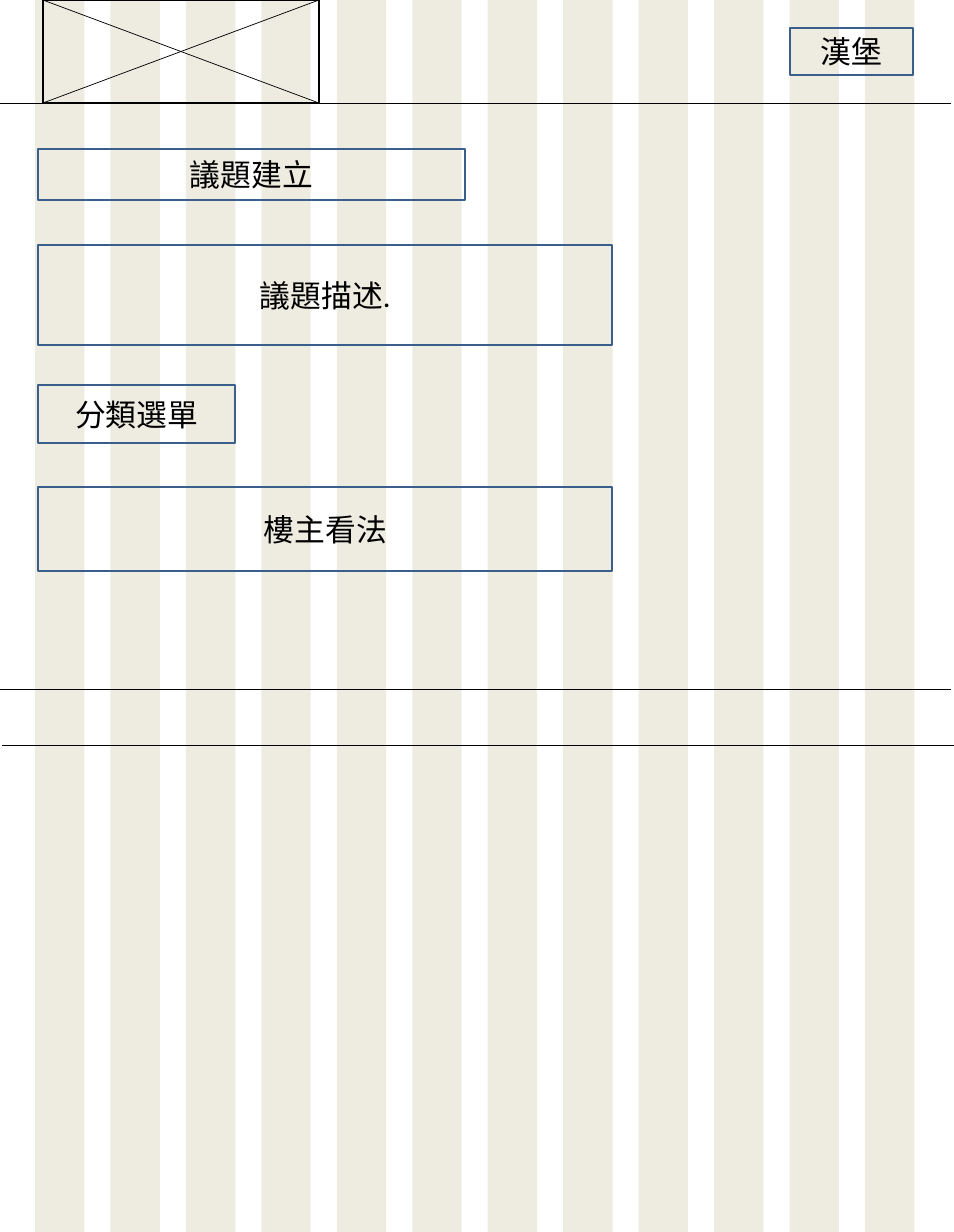
from lxml import etree
from pptx import Presentation
from pptx.dml.color import RGBColor
from pptx.enum.shapes import MSO_CONNECTOR, MSO_SHAPE
from pptx.enum.text import MSO_ANCHOR, PP_ALIGN
from pptx.oxml.ns import qn
from pptx.util import Inches, Pt

RECTANGLE = MSO_SHAPE.RECTANGLE
STRAIGHT = MSO_CONNECTOR.STRAIGHT
MIDDLE = MSO_ANCHOR.MIDDLE
CENTER = PP_ALIGN.CENTER

COLORS = {"column": "EEECE1", "ink": "000000", "field": "3A5F8C"}
FONT = "Calibri"
WIDTH, HEIGHT = 13.34, 17.22
COLUMNS = 12
MARGIN, PITCH, COLUMN_WIDTH = 0.49, 1.055, 0.69
GUTTER = PITCH - COLUMN_WIDTH
INSET = 0.04
HEADER_HEIGHT = 1.45


def color(name):
    return RGBColor.from_string(COLORS[name])


def column_left(index):
    return MARGIN + index * PITCH


def span(count):
    return count * PITCH - GUTTER


def add_box(parent, box, fill=None, line=None, line_width=2):
    shape = parent.add_shape(RECTANGLE, *(Inches(length) for length in box))
    shape.shadow.inherit = False
    if fill:
        shape.fill.solid()
        shape.fill.fore_color.rgb = color(fill)
    else:
        shape.fill.background()
    if line:
        shape.line.color.rgb = color(line)
        shape.line.width = Pt(line_width)
    else:
        shape.line.fill.background()
    return shape


def add_line(parent, start, end):
    points = [Inches(length) for length in (*start, *end)]
    connector = parent.add_connector(STRAIGHT, *points)
    connector.line.color.rgb = color("ink")
    connector.line.width = Pt(0.75)
    etree.SubElement(connector.element.spPr, qn("a:effectLst"))


def write_text(shape, text, size=31, ink="ink", align=CENTER, anchor=MIDDLE):
    frame = shape.text_frame
    frame.word_wrap = True
    frame.vertical_anchor = anchor
    paragraph = frame.paragraphs[0]
    paragraph.alignment = align
    run = paragraph.add_run()
    run.text = text
    run.font.name = FONT
    run.font.size = Pt(size)
    run.font.color.rgb = color(ink)


def add_field(slide, box, text):
    write_text(add_box(slide.shapes, box, line="field"), text)


def draw_columns(slide, box):
    left, top, width, height = box
    group = slide.shapes.add_group_shape()
    for index in range(COLUMNS):
        column = (left + column_left(index), top, COLUMN_WIDTH, height)
        add_box(group.shapes, column, fill="column")


def draw_logo_frame(slide, box):
    left, top, width, height = box
    right, bottom = left + width, top + height
    group = slide.shapes.add_group_shape()
    add_box(group.shapes, box, line="ink")
    add_line(group.shapes, (left, top), (right, bottom))
    add_line(group.shapes, (right, top), (left, bottom))


def draw_divider(slide, top, shift=-INSET):
    add_line(slide.shapes, (shift, top), (WIDTH + shift, top))


def draw_header(slide, box):
    left, top, width, height = box
    draw_logo_frame(slide, (left + 0.6, top, 3.86, height - 0.01))
    draw_divider(slide, top + height)
    menu = (left + column_left(10), top + height * 0.27,
            span(2) - INSET / 2, height * 0.45)
    add_field(slide, menu, "漢堡")


def draw_form(slide, box):
    left, top, width, height = box
    fields = [
        ("議題建立", 6.04, 0.63, 0.72),
        ("議題描述.", 8, 1.98, 1.4),
        ("分類選單", 3, 3.93, 0.81),
        ("樓主看法", 8, 5.36, 1.17),
    ]
    for text, columns, offset, field_height in fields:
        field = (left + column_left(0) + INSET, top + offset,
                 span(columns) - INSET, field_height)
        add_field(slide, field, text)


def draw_footer(slide, box):
    left, top, width, height = box
    draw_divider(slide, top)
    draw_divider(slide, top + height, shift=left + 0.03)


presentation = Presentation()
presentation.slide_width = Inches(WIDTH)
presentation.slide_height = Inches(HEIGHT)
slide = presentation.slides.add_slide(presentation.slide_layouts[6])
draw_columns(slide, (0, 0, WIDTH, HEIGHT))
draw_header(slide, (0, 0, WIDTH, HEADER_HEIGHT))
draw_form(slide, (0, HEADER_HEIGHT, WIDTH, 8.18))
draw_footer(slide, (0, HEADER_HEIGHT + 8.18, WIDTH, 0.79))
presentation.save("out.pptx")
